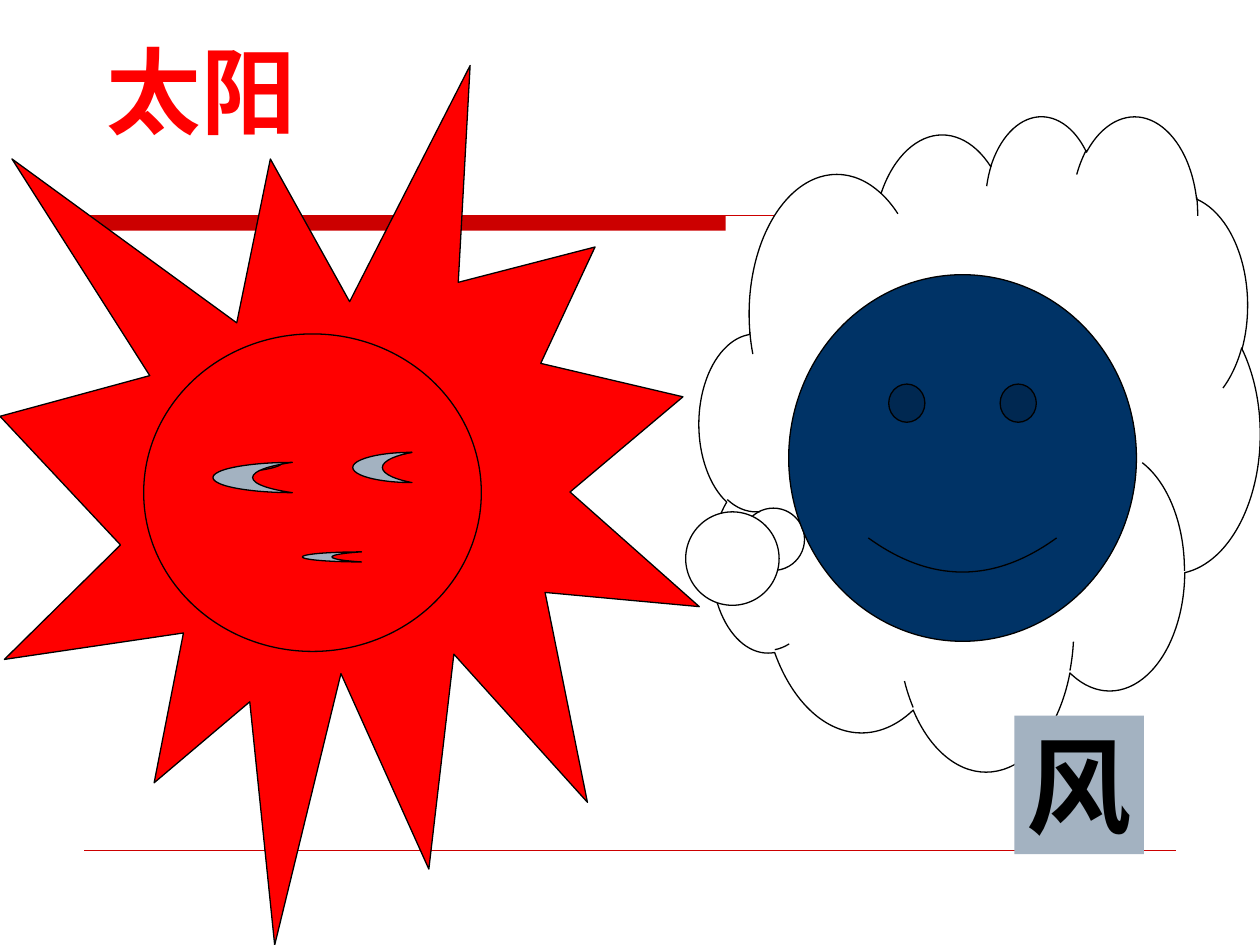
from lxml.etree import SubElement
from pptx import Presentation
from pptx.dml.color import RGBColor
from pptx.enum.shapes import MSO_CONNECTOR as Connector, MSO_SHAPE as Shape
from pptx.enum.text import MSO_ANCHOR as Anchor, MSO_AUTO_SIZE as AutoSize
from pptx.oxml.ns import qn
from pptx.util import Inches, Pt

COLORS = {"red": "FF0000", "rule": "CC0000", "black": "000000",
          "white": "FFFFFF", "navy": "003366", "gray": "A3B2C1"}
COLUMNS, ROWS = 100, 75


class SlideBuilder:
    """Draws styled elements on a slide using a grid of columns and rows."""

    def __init__(self):
        self.presentation = Presentation()
        self.presentation.slide_width = Inches(10)
        self.presentation.slide_height = Inches(7.5)
        self.cell_width = self.presentation.slide_width / COLUMNS
        self.cell_height = self.presentation.slide_height / ROWS
        self.slide = self.presentation.slides.add_slide(
            self.presentation.slide_layouts[6])
        self.font_format = {"name": "Times New Roman", "bold": True}

    def place(self, *lengths):
        cells = (self.cell_width, self.cell_height)
        return [round(length * cells[index % 2])
                for index, length in enumerate(lengths)]

    def paint(self, fill, color):
        if color:
            fill.solid()
            fill.fore_color.rgb = RGBColor.from_string(COLORS[color])
        else:
            fill.background()

    def add_shape(self, kind, box, fill=None, line="black", adjustments=()):
        shape = self.slide.shapes.add_shape(kind, *self.place(*box))
        shape.shadow.inherit = False
        self.paint(shape.fill, fill)
        self.paint(shape.line.fill, line)
        shape.line.width = Pt(0.75)
        for index, value in enumerate(adjustments):
            shape.adjustments[index] = value

    def add_line(self, start, end, color="black", width=0.75):
        line = self.slide.shapes.add_connector(
            Connector.STRAIGHT, *self.place(*start, *end))
        self.paint(line.line.fill, color)
        line.line.width = Pt(width)
        SubElement(line._element.spPr, qn("a:effectLst"))

    def add_label(self, text, box, size, color, fill=None, wrap=True):
        label = self.slide.shapes.add_textbox(*self.place(*box))
        self.paint(label.fill, fill)
        frame_format = {"word_wrap": wrap, "vertical_anchor": Anchor.TOP,
                        "auto_size": AutoSize.SHAPE_TO_FIT_TEXT}
        for name, value in frame_format.items():
            setattr(label.text_frame, name, value)
        run = label.text_frame.paragraphs[0].add_run()
        run.text = text
        for name, value in {**self.font_format, "size": Pt(size)}.items():
            setattr(run.font, name, value)
        run.font.color.rgb = RGBColor.from_string(COLORS[color])

    def save(self):
        self.presentation.save("out.pptx")


def main():
    builder = SlideBuilder()
    builder.add_shape(Shape.RECTANGLE, (6.7, 17.1, 50.9, 1.2), "rule", None)
    builder.add_line((6.7, 17.1), (93.7, 17.1), "rule")
    builder.add_line((6.7, 67.5), (93.3, 67.5), "rule", 0.25)

    builder.add_shape(Shape.EXPLOSION1, (0, 5.2, 55.5, 69.8), "red")
    builder.add_shape(Shape.OVAL, (11.4, 26.5, 26.8, 25.2), "red")
    builder.add_shape(Shape.ARC, (13, 35.9, 9.4, 1.6), adjustments=(0, 54))
    builder.add_line((28.7, 36.7), (32.7, 35.9))
    for box in ((28, 35.9, 4.7, 2.4), (16.9, 36.7, 6.3, 2.4),
                (24, 43.8, 4.7, 0.8)):
        builder.add_shape(Shape.MOON, box, "gray")

    builder.add_shape(Shape.CLOUD_CALLOUT, (55.5, 9.1, 44.5, 52), "white",
                      adjustments=(-0.345, 0.139))
    builder.add_shape(Shape.SMILEY_FACE, (62.6, 21.8, 27.6, 29.1), "navy",
                      adjustments=(0.093,))

    builder.add_label("太阳", (7.5, 2.1, 30.1, 10), 54, "red")
    builder.add_label("风", (80.5, 56.8, 10.3, 11), 60, "black", "gray", False)
    builder.save()


if __name__ == "__main__":
    main()
